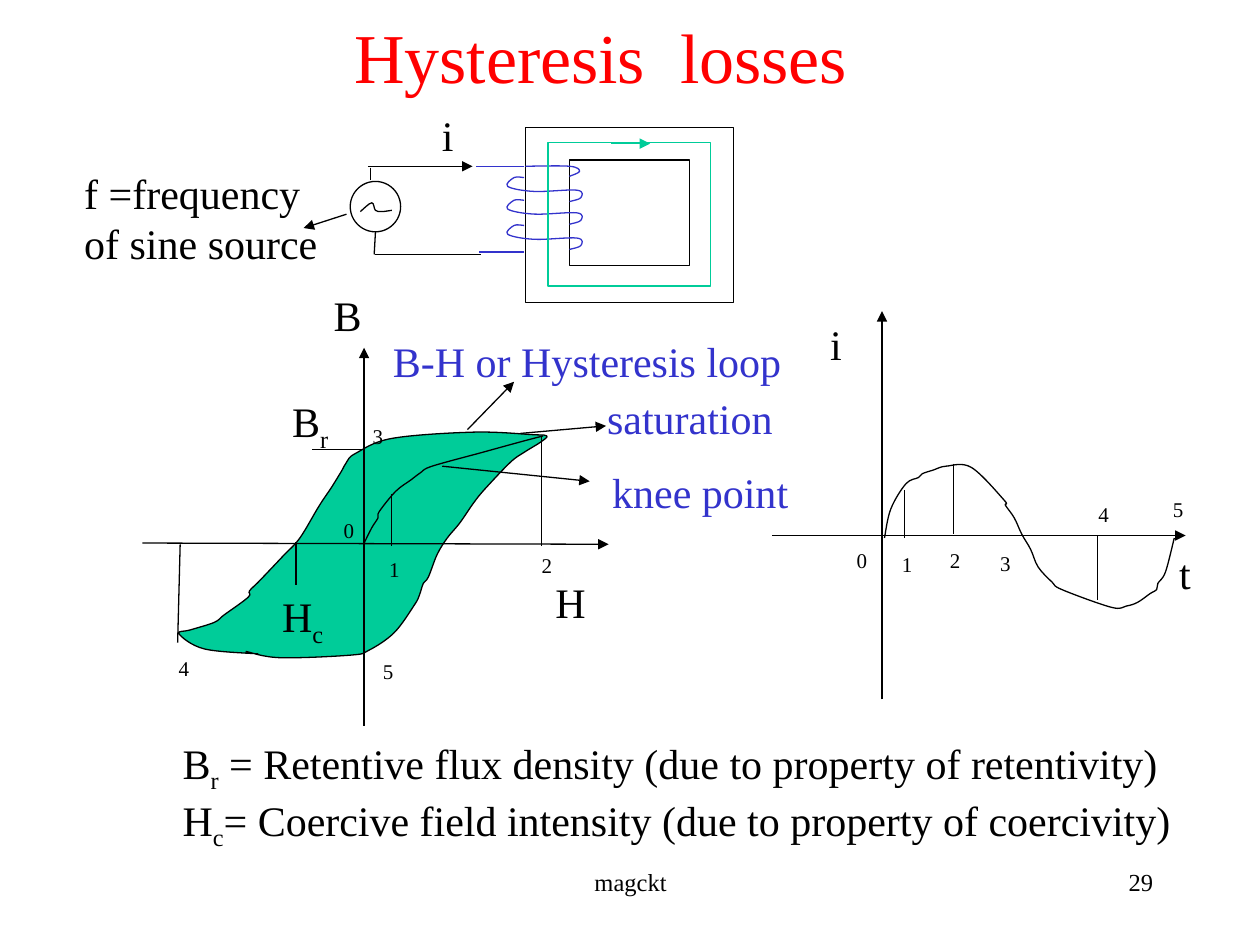
from lxml.etree import SubElement as Sub
from pptx import Presentation
from pptx.dml.color import RGBColor
from pptx.enum.shapes import MSO_CONNECTOR as Link, MSO_SHAPE as Kind
from pptx.enum.text import MSO_ANCHOR as Anchor, MSO_AUTO_SIZE as Auto, PP_ALIGN as Align
from pptx.oxml.ns import qn
from pptx.util import Pt

SCALE = 9144
BLACK, BLUE, GREEN, RED = "000000", "3333CC", "00CC99", "FF0000"


def px(n):
    return round(n * SCALE)


def hue(code):
    return RGBColor.from_string(code)


def bend(pts):
    """Return the Bezier points of a smooth curve through the given points."""
    ends = [pts[0], *pts, pts[-1]]
    out = []
    for a, b, c, d in zip(ends, ends[1:], ends[2:], ends[3:]):
        out.append([q + (r - p) / 6 for p, q, r in zip(a, b, c)])
        out.append([r - (s - q) / 6 for q, r, s in zip(b, c, d)])
        out.append(c)
    return [tuple(px(n) for n in p) for p in out]


class Board:
    """Hold the style and the current slide."""

    font = "Times New Roman"
    width = Pt(0.75)
    slack = 5

    def __init__(self, deck):
        self.slide = deck.slides.add_slide(deck.slide_layouts[5])
        self.shapes = self.slide.shapes

    def style(self, run, size, color):
        run.font.name = self.font
        run.font.size = Pt(size)
        run.font.color.rgb = hue(color)

    def title(self, text, x, y, w, h):
        box = self.shapes.title
        box.left, box.top, box.width, box.height = map(px, (x, y, w, h))
        frame = box.text_frame
        frame.text = text
        frame.word_wrap = True
        frame.auto_size = Auto.NONE
        frame.vertical_anchor = Anchor.TOP
        frame.paragraphs[0].alignment = Align.LEFT
        self.style(frame.paragraphs[0].runs[0], 40, RED)

    def label(self, text, x, y, w, h, size=24, color=BLACK, align=Align.LEFT):
        """Add a text box in which bars enclose subscripts."""
        room = self.slack if align == Align.LEFT else 0
        box = self.shapes.add_textbox(*map(px, (x, y, w + room, h)))
        frame = box.text_frame
        frame.word_wrap = True
        frame.auto_size = Auto.NONE
        for i, line in enumerate(text.split("\n")):
            para = frame.add_paragraph() if i else frame.paragraphs[0]
            para.alignment = align
            for j, part in enumerate(line.split("|")):
                if not part:
                    continue
                run = para.add_run()
                run.text = part
                self.style(run, size, color)
                if j % 2:
                    run._r.get_or_add_rPr().set("baseline", "-25000")

    def paint(self, shape, color, fill=None):
        shape.shadow.inherit = False
        shape.line.color.rgb = hue(color)
        shape.line.width = self.width
        if fill:
            shape.fill.solid()
            shape.fill.fore_color.rgb = hue(fill)
        else:
            shape.fill.background()

    def shape(self, kind, x, y, w, h, color=BLACK):
        self.paint(self.shapes.add_shape(kind, *map(px, (x, y, w, h))), color)

    def line(self, x1, y1, x2, y2, color=BLACK, arrow=False):
        """Add a line, with an arrowhead at its end on request."""
        link = self.shapes.add_connector(Link.STRAIGHT, *map(px, (x1, y1, x2, y2)))
        link.line.color.rgb = hue(color)
        link.line.width = self.width
        if arrow:
            Sub(link.line._get_or_add_ln(), qn("a:tailEnd"), type="triangle")
        Sub(link._element.spPr, qn("a:effectLst"))

    def curve(self, pts, color=BLACK, fill=None):
        """Add a smooth open curve."""
        pen = self.shapes.build_freeform(*map(px, pts[0]), scale=1.0)
        pen.add_line_segments(bend(pts), close=False)
        shape = pen.convert_to_shape()
        track = shape._element.find(".//" + qn("a:path"))
        legs = track.findall(qn("a:lnTo"))
        for i in range(0, len(legs), 3):
            arc = Sub(track, qn("a:cubicBezTo"))
            for leg in legs[i:i + 3]:
                arc.append(leg[0])
                track.remove(leg)
        self.paint(shape, color, fill)


LOOP = [
    (195, 517), (222, 522), (278, 520), (293, 516), (313, 502), (329, 480),
    (333, 472), (336, 463), (340, 458), (347, 440), (355, 427), (365, 415),
    (376, 399), (385, 388), (405, 367), (416, 359), (429, 351), (434, 346),
    (423, 345), (376, 343), (311, 348), (282, 360), (275, 367), (271, 374),
    (263, 387), (253, 402), (238, 427), (225, 441), (206, 461), (198, 469),
    (197, 474), (178, 488), (170, 494), (151, 500), (142, 503), (162, 515),
    (205, 519)]
RISE = [
    (289, 431), (295, 419), (300, 411), (301, 406), (314, 390), (326, 381),
    (334, 375), (343, 370), (383, 359), (412, 351), (431, 346)]
WAVE = [
    (702, 427), (707, 404), (719, 384), (729, 379), (732, 376), (741, 373),
    (751, 370), (771, 371), (797, 397), (798, 401), (805, 411), (811, 424),
    (818, 436), (824, 450), (835, 462), (843, 468), (882, 482), (894, 481),
    (903, 478), (913, 471), (918, 468), (919, 463), (925, 454), (932, 427)]
TURN = [(0, 0), (-8, 0), (-13, 7), (8, 11), (42, 10), (45, 16), (36, 19)]
SINE = [(286, 168), (295, 161), (298, 167), (303, 168), (311, 167)]


def circuit(board):
    for box in ((417, 101, 165, 139), (452, 127, 95, 84)):
        board.shape(Kind.RECTANGLE, *box)
    for top in (141, 159, 179):
        board.curve([(416 + x, top + y) for x, y in TURN], BLUE)
    board.curve([(417, 132), (452, 132), (460, 136), (452, 140)], BLUE)
    board.line(416, 200, 380, 200, BLUE)
    board.line(416, 132, 378, 132, BLUE)
    board.shape(Kind.RECTANGLE, 435, 113, 129, 114, GREEN)
    board.line(485, 114, 516, 114, GREEN, True)
    board.shape(Kind.OVAL, 278, 144, 40, 40)
    board.curve(SINE)
    board.line(292, 132, 375, 132, arrow=True)
    for wire in ((298, 202, 382, 202), (294, 133, 294, 143), (298, 184, 297, 202)):
        board.line(*wire)
    board.line(275, 170, 241, 181, arrow=True)
    board.label("i", 341, 82, 29, 50)
    board.label("f =frequency\nof sine source", 57, 128, 205, 90)


def graphs(board):
    board.curve(LOOP, fill=GREEN)
    for pts in (RISE, WAVE):
        board.curve(pts)
    arrows = [
        (700, 555, 700, 247), (613, 425, 941, 425), (289, 576, 289, 276),
        (113, 431, 483, 432), (371, 341, 408, 303), (413, 344, 481, 338),
        (351, 370, 468, 382)]
    for ends in arrows:
        board.line(*ends, arrow=True)
    ticks = [
        (248, 357, 290, 357), (235, 430, 235, 464), (311, 392, 311, 433),
        (430, 346, 430, 433), (143, 432, 141, 510), (718, 389, 718, 427),
        (757, 368, 757, 424), (871, 425, 871, 476)]
    for ends in ticks:
        board.line(*ends)
    marks = [
        ("0", 263, 406), ("1", 299, 437), ("2", 420, 434), ("3", 286, 331),
        ("4", 132, 515), ("5", 294, 518), ("0", 670, 430), ("1", 706, 433),
        ("2", 744, 430), ("3", 784, 432), ("4", 862, 393), ("5", 921, 389)]
    for text, x, y in marks:
        board.label(text, x, y, 28, 30, 12)
    names = [
        ("B", 255, 225, 42, 50), ("H", 431, 453, 44, 50), ("B|r|", 222, 309, 48, 56),
        ("H|c|", 214, 464, 52, 56), ("i", 649, 248, 29, 50), ("t", 926, 430, 29, 50)]
    for name in names:
        board.label(*name)
    notes = [
        ("B-H or Hysteresis loop", 302, 261, 336),
        ("saturation", 472, 307, 151), ("knee point", 476, 365, 160)]
    for note in notes:
        board.label(*note, 50, color=BLUE)


def main():
    deck = Presentation()
    deck.slide_width, deck.slide_height = px(1000), px(750)
    board = Board(deck)
    board.title("Hysteresis  losses", 271, 6, 511, 77)
    circuit(board)
    graphs(board)
    board.label("B|r| = Retentive flux density (due to property of retentivity)\n"
                "H|c|= Coercive field intensity (due to property of coercivity)",
                135, 580, 804, 101)
    board.label("magckt", 342, 683, 317, 50, 14, align=Align.CENTER)
    board.label("29", 717, 683, 208, 50, 14, align=Align.RIGHT)
    deck.save("out.pptx")


if __name__ == "__main__":
    main()
